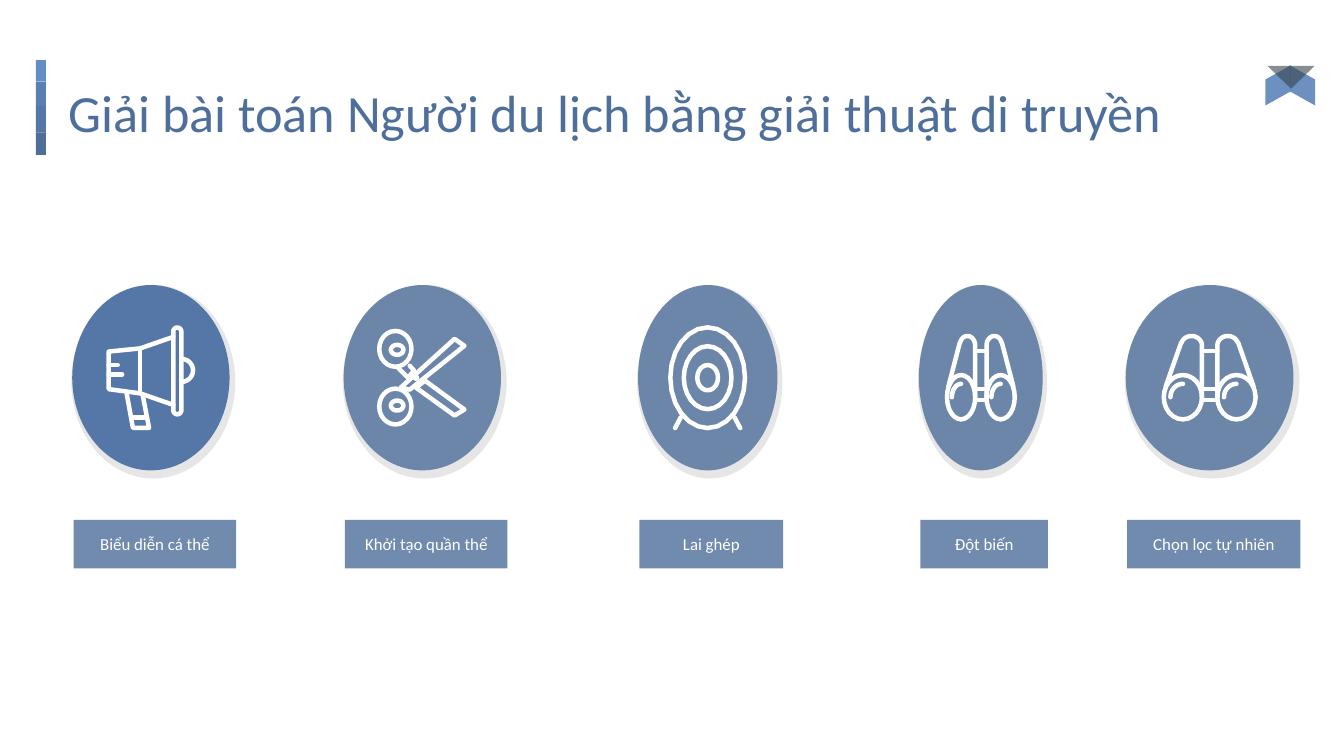
"""Build the slide listing the steps of a genetic algorithm for the travelling salesman."""
from math import cos, radians, sin

from lxml import etree
from pptx import Presentation
from pptx import util as u
from pptx.dml.color import RGBColor
from pptx.enum import shapes, text
from pptx.oxml.ns import qn

WHITE = RGBColor(0xFF, 0xFF, 0xFF)
TITLE_BLUE = RGBColor(0x4E, 0x6F, 0x9B)
DARK_BLUE = RGBColor(0x4E, 0x6E, 0x9A)
MID_BLUE = RGBColor(0x54, 0x77, 0xA7)
SOFT_BLUE = RGBColor(0x5A, 0x7F, 0xB3)
LIGHT_BLUE = RGBColor(0x64, 0x8D, 0xC6)
WING_BLUE = RGBColor(0x5E, 0x85, 0xB9)
SLATE = RGBColor(0x38, 0x44, 0x4A)
GRAY = RGBColor(0x59, 0x59, 0x59)
FONT = "Calibri"

TITLE = "Giải bài toán Người du lịch bằng giải thuật di truyền"
STEPS = [
    ("Biểu diễn cá thể", "megaphone", 38.2, 87.8, MID_BLUE, 100),
    ("Khởi tạo quần thể", "scissors", 183.6, 87.8, DARK_BLUE, 80),
    ("Lai ghép", "target", 341.3, 77.8, DARK_BLUE, 80),
    ("Đột biến", "binoculars", 491.8, 69.1, DARK_BLUE, 80),
    ("Chọn lọc tự nhiên", "binoculars", 602.6, 93.6, DARK_BLUE, 80),
]
BARS = [(LIGHT_BLUE, 11.5), (SOFT_BLUE, 13), (MID_BLUE, 14.2), (DARK_BLUE, 12.2)]
DISC_TOP, DISC_H, HALO_H = 152.7, 99.3, 103.7
LABEL_TOP, LABEL_H = 278.6, 25.9


def arc(cx, cy, rx, ry, start=0, end=360, steps=24):
    angles = [radians(start + (end - start) * i / steps) for i in range(steps + 1)]
    return [(cx + rx * cos(a), cy + ry * sin(a)) for a in angles]


def mirrored(strokes, axis):
    return strokes + [[(100 - x, y) if axis == "x" else (x, 100 - y) for x, y in s]
                      for s in strokes]


BARREL = [(4, 60), (20, 11), *arc(31, 14, 11, 11, 200, 360), (42, 72)]
GLINT = arc(22, 72, 13, 15, 180, 270)
ICONS = {
    "megaphone": (56, [
        arc(79.5, 6, 4.5, 4, 180, 360) + arc(79.5, 81, 4.5, 4, 0, 180) + [(75, 6)],
        [(75, 11), (38, 22), (3, 25), (3, 61), (38, 65), (75, 76)],
        [(38, 22), (38, 65)],
        [(3, 38), (13, 38)],
        [(3, 47), (18, 47)],
        [(23, 65), (30, 98), (48, 98), (41, 67)],
        [(29, 88), (45, 88)],
        arc(84, 43, 13, 11, -90, 90),
    ]),
    "scissors": (53.3, mirrored([arc(20, 21, 18, 18), arc(22, 22, 7, 5)], "y") + [
        [(26, 60), (86, 11), (97, 18), (36, 62), (26, 60)],
        [(43, 60), (53, 53), (97, 82), (86, 88), (43, 60)],
        [(23, 40), (34, 50), (41, 43), (36, 38)],
        arc(43, 50, 1, 1),
    ]),
    "target": (56.2, [arc(50, 50, rx, ry) for rx, ry in [(47, 48), (30, 30), (13, 12)]]
               + mirrored([[(16, 88), (9, 98)]], "x")),
    "binoculars": (47.5, mirrored([arc(22, 72, 20, 25), BARREL], "x")
                   + [GLINT, [(x + 56, y) for x, y in GLINT]]
                   + [[(42, y), (58, y)] for y in (20, 63, 75)]),
}


def write(sp, content, size=9, color=WHITE, align=text.PP_ALIGN.CENTER,
          anchor=text.MSO_ANCHOR.MIDDLE):
    tf = sp.text_frame
    tf.word_wrap = True
    tf.vertical_anchor = anchor
    tf.margin_left = tf.margin_right = tf.margin_top = tf.margin_bottom = u.Pt(7.2)
    p = tf.paragraphs[0]
    p.alignment = align
    r = p.add_run()
    r.text = content
    r.font.name, r.font.size, r.font.color.rgb = FONT, u.Pt(size), color


def add_block(s, kind, left, top, width, height, color, alpha=100, rotation=0):
    sp = s.shapes.add_shape(kind, u.Pt(left), u.Pt(top), u.Pt(width), u.Pt(height))
    sp.shadow.inherit = False
    sp.fill.solid()
    sp.fill.fore_color.rgb = color
    sp.line.fill.background()
    sp.rotation = rotation
    if alpha < 100:
        fill = sp._element.spPr.find(qn("a:solidFill"))
        etree.SubElement(fill[0], qn("a:alpha")).set("val", str(alpha * 1000))
    return sp


def add_icon(s, strokes, left, top, width, height):
    outlines = [[(u.Pt(left + x * width / 100), u.Pt(top + y * height / 100))
                 for x, y in stroke] for stroke in strokes]
    builder = s.shapes.build_freeform(*outlines[0][0])
    for i, points in enumerate(outlines):
        if i:
            builder.move_to(*points[0])
        builder.add_line_segments(points[1:], close=False)
    sp = builder.convert_to_shape()
    sp.shadow.inherit = False
    sp.fill.background()
    sp.line.color.rgb = WHITE
    sp.line.width = u.Pt(2.4)
    sp.line._get_or_add_ln().set("cap", "rnd")


def add_step(s, label, icon, left, width, color, alpha):
    kind = shapes.MSO_SHAPE
    disc_left, disc_w = left + 0.5, width * 0.96
    add_block(s, kind.OVAL, left, DISC_TOP, width, HALO_H, GRAY, 15)
    add_block(s, kind.OVAL, disc_left, DISC_TOP, disc_w, DISC_H, color, alpha)
    icon_h, strokes = ICONS[icon]
    icon_w = disc_w * 0.57
    add_icon(s, strokes, disc_left + (disc_w - icon_w) / 2,
             DISC_TOP + (DISC_H - icon_h) / 2, icon_w, icon_h)
    sp = add_block(s, kind.RECTANGLE, left + 1.2, LABEL_TOP, width - 0.7, LABEL_H,
                   DARK_BLUE, 80)
    write(sp, label)


def add_ribbon(s):
    for left, flip in ((686.9, False), (673.9, True)):
        sp = add_block(s, shapes.MSO_SHAPE.PARALLELOGRAM, left, 38.9, 21.6, 13.7,
                       WING_BLUE, 91, 90)
        sp.adjustments[0] = 0.56
        if flip:
            sp._element.spPr.xfrm.set("flipH", "1")
    add_block(s, shapes.MSO_SHAPE.ISOSCELES_TRIANGLE, 679, 35.3, 25.2, 12.2, SLATE, 60, 180)


def main():
    prs = Presentation()
    prs.slide_width, prs.slide_height = u.Pt(720), u.Pt(405)
    s = prs.slides.add_slide(prs.slide_layouts[5])
    title = s.shapes.title
    title.left, title.top, title.width, title.height = map(u.Pt, (29.5, 36, 666, 45.4))
    write(title, TITLE, size=28, color=TITLE_BLUE, align=text.PP_ALIGN.LEFT,
          anchor=text.MSO_ANCHOR.TOP)
    top = 32.2
    for color, height in BARS:
        add_block(s, shapes.MSO_SHAPE.RECTANGLE, 19.2, top, 5.4, height, color)
        top += height
    for step in STEPS:
        add_step(s, *step)
    add_ribbon(s)
    prs.save("out.pptx")


if __name__ == "__main__":
    main()
